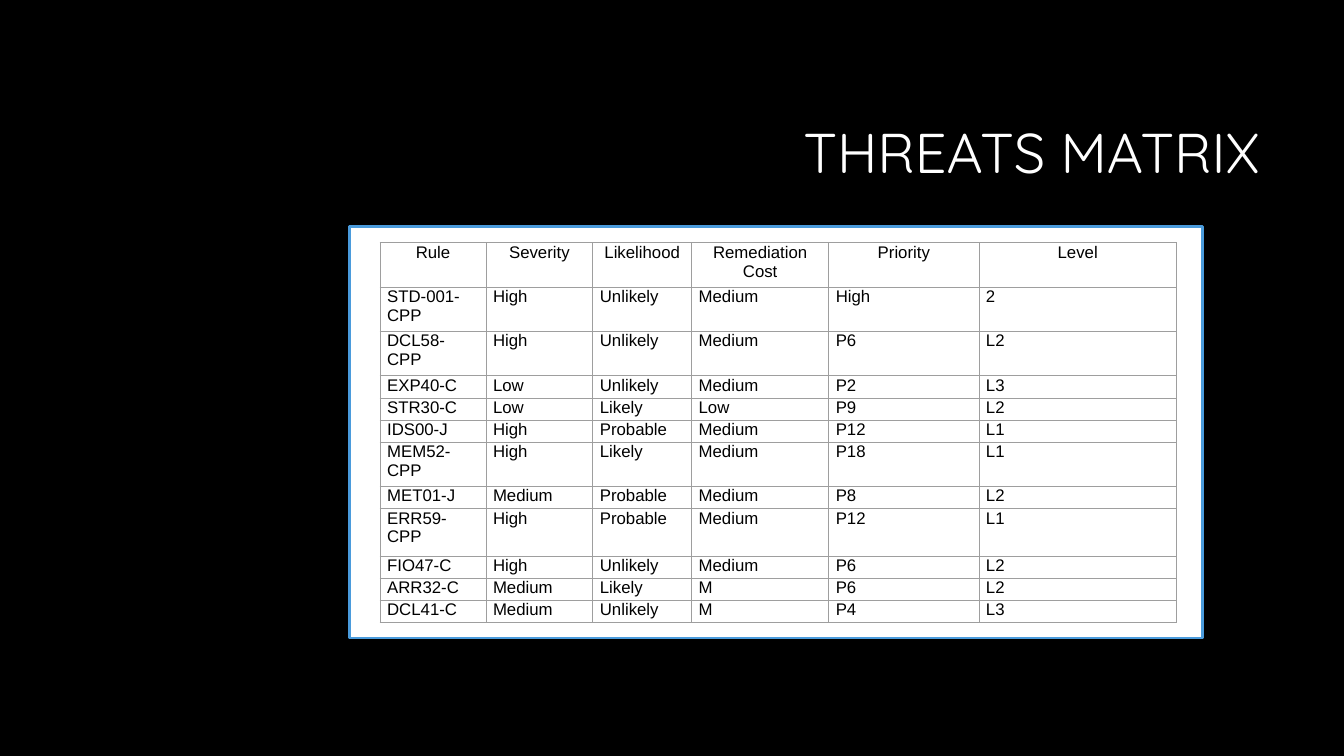
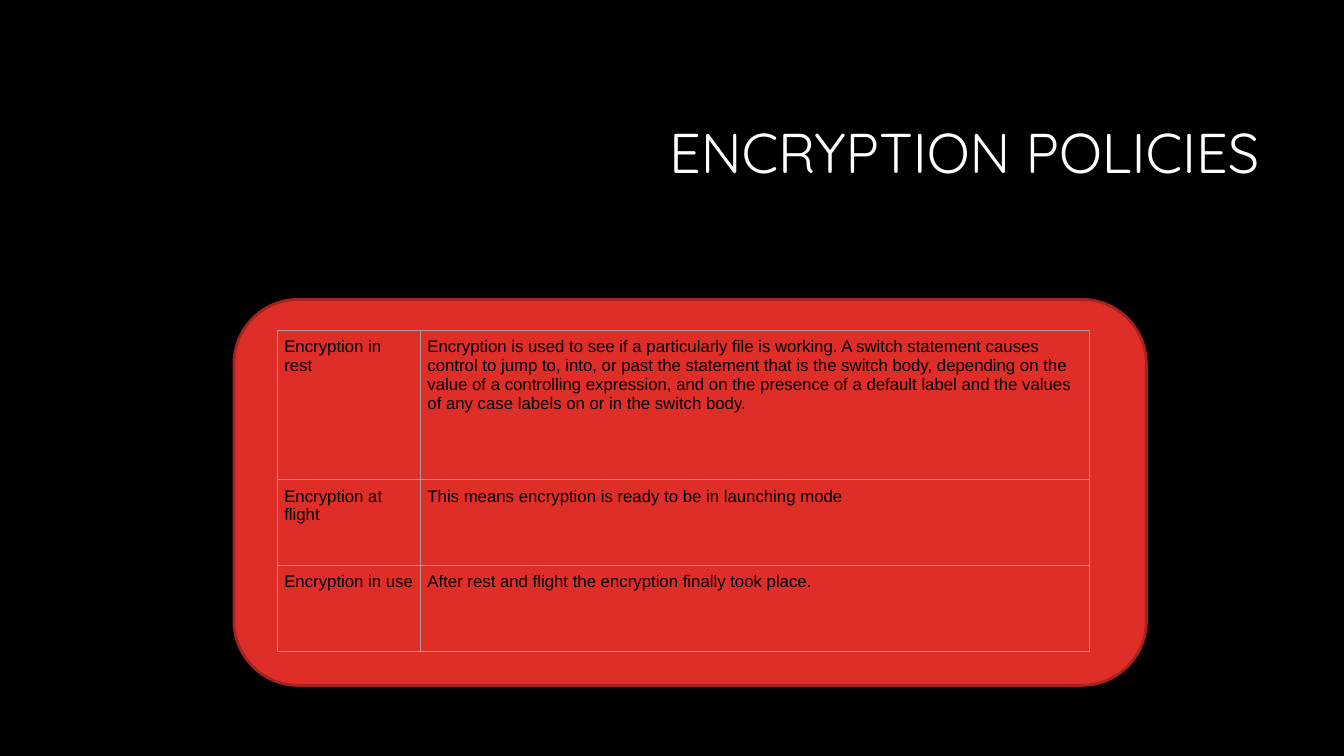
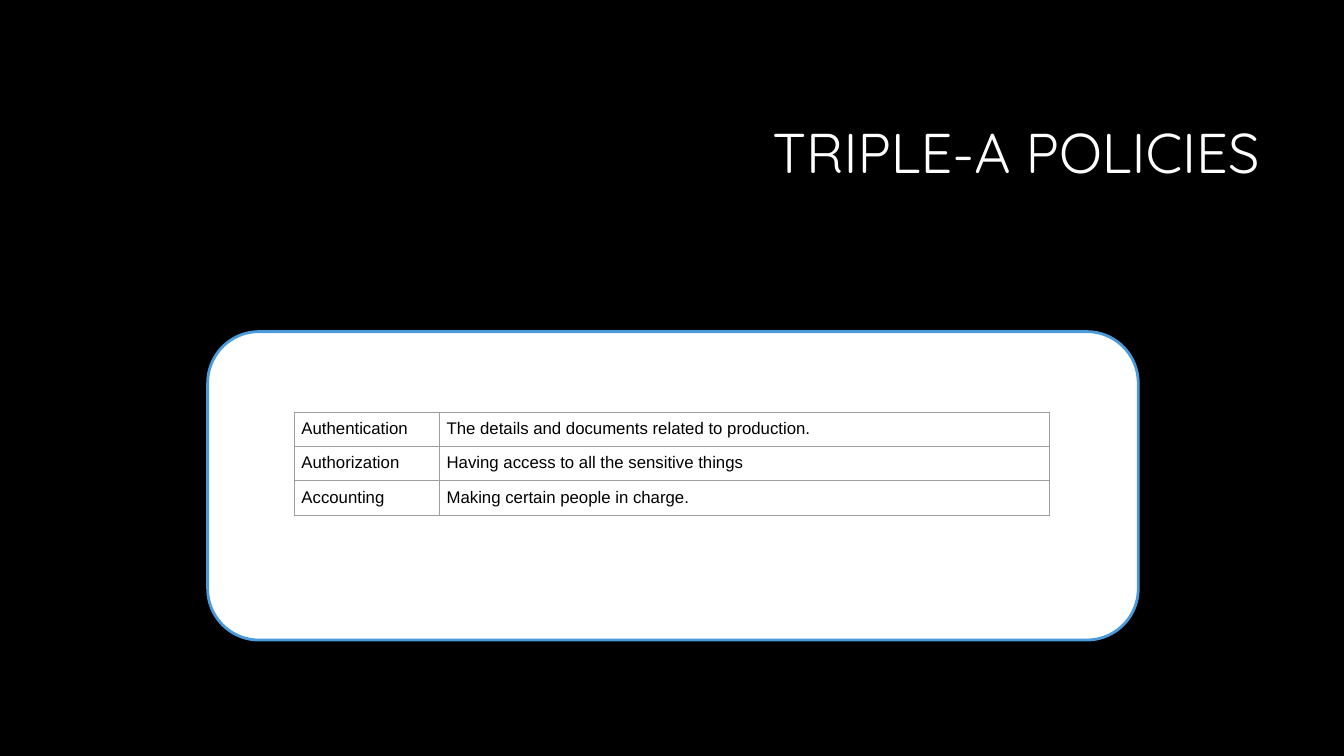
"""Build three dark policy slides, each a title and a table on a panel."""
from pptx import Presentation
from pptx.dml.color import RGBColor
from pptx.enum.shapes import MSO_SHAPE
from pptx.enum.text import MSO_ANCHOR, PP_ALIGN
from pptx.oxml import parse_xml
from pptx.oxml.ns import nsdecls
from pptx.util import Inches, Pt

BLACK, WHITE, BLUE, GRID = "000000", "FFFFFF", "4A9BDC", "9E9E9E"
RED, DARK = "DF2E28", "A5221E"
SIZE = (13.33, 7.5)
HEAD = (3.17, 0.84, 9.42, 1.41)
TITLE = {"name": "Quicksand", "size": Pt(40)}
BODY = {"name": "Arial", "size": Pt(12)}
PAD = 0.07
ONE, TWO = 0.22, 0.44

THREATS = [
    ("Rule", "Severity", "Likelihood", "Remediation Cost", "Priority", "Level"),
    ("STD-001-CPP", "High", "Unlikely", "Medium", "High", "2"),
    ("DCL58-CPP", "High", "Unlikely", "Medium", "P6", "L2"),
    ("EXP40-C", "Low", "Unlikely", "Medium", "P2", "L3"),
    ("STR30-C", "Low", "Likely", "Low", "P9", "L2"),
    ("IDS00-J", "High", "Probable", "Medium", "P12", "L1"),
    ("MEM52-CPP", "High", "Likely", "Medium", "P18", "L1"),
    ("MET01-J", "Medium", "Probable", "Medium", "P8", "L2"),
    ("ERR59-CPP", "High", "Probable", "Medium", "P12", "L1"),
    ("FIO47-C", "High", "Unlikely", "Medium", "P6", "L2"),
    ("ARR32-C", "Medium", "Likely", "M", "P6", "L2"),
    ("DCL41-C", "Medium", "Unlikely", "M", "P4", "L3"),
]
CRYPT = [
    ("Encryption in rest",
     "Encryption is used to see if a particularly file is working. "
     "A switch statement causes control to jump to, into, or past the "
     "statement that is the switch body, depending on the value of a "
     "controlling expression, and on the presence of a default label and "
     "the values of any case labels on or in the switch body."),
    ("Encryption at flight",
     "This means encryption is ready to be in launching mode"),
    ("Encryption in use",
     "After rest and flight the encryption finally took place."),
]
TRIPLE = [
    ("Authentication", "The details and documents related to production."),
    ("Authorization", "Having access to all the sensitive things"),
    ("Accounting", "Making certain people in charge."),
]
SLIDES = [
    {"title": "THREATS MATRIX", "form": MSO_SHAPE.RECTANGLE,
     "panel": (3.47, 2.25, 8.46, 4.08), "fill": WHITE, "line": BLUE,
     "spot": (3.77, 2.41), "cols": (1.05, 1.06, 0.98, 1.36, 1.49, 1.96),
     "rows": [TWO] * 3 + [ONE] * 3 + [TWO, ONE, 0.47] + [ONE] * 3,
     "pad": 0, "head": True, "data": THREATS},
    {"title": "ENCRYPTION POLICIES", "form": MSO_SHAPE.ROUNDED_RECTANGLE,
     "panel": (2.32, 2.97, 9.05, 3.83), "fill": RED, "line": DARK,
     "spot": (2.75, 3.28), "cols": (1.42, 6.64), "rows": (1.48, 0.85, 0.85),
     "pad": PAD, "head": False, "data": CRYPT},
    {"title": "TRIPLE-A POLICIES", "form": MSO_SHAPE.ROUNDED_RECTANGLE,
     "panel": (2.06, 3.29, 9.23, 3.06), "fill": WHITE, "line": BLUE,
     "spot": (2.92, 4.09), "cols": (1.44, 6.05), "rows": [0.33] * 3,
     "pad": PAD, "head": False, "data": TRIPLE},
]


def paint(part, tint):
    part.solid()
    part.fore_color.rgb = RGBColor.from_string(tint)


def apply(thing, style):
    for key, val in style.items():
        setattr(thing, key, val)


def write(frame, text, style, tint, align):
    par = frame.paragraphs[0]
    par.alignment = align
    run = par.add_run()
    run.text = text
    apply(run.font, style)
    run.font.color.rgb = RGBColor.from_string(tint)
    return par


def add_title(slide, text):
    box = slide.shapes.add_textbox(*map(Inches, HEAD))
    apply(box.text_frame,
          {"word_wrap": True, "vertical_anchor": MSO_ANCHOR.MIDDLE})
    par = write(box.text_frame, text, TITLE, WHITE, PP_ALIGN.RIGHT)
    par.line_spacing = 0.9


def add_panel(slide, item):
    panel = slide.shapes.add_shape(item["form"], *map(Inches, item["panel"]))
    panel.shadow.inherit = False
    paint(panel.fill, item["fill"])
    paint(panel.line.fill, item["line"])
    panel.line.width = Pt(2)


def add_grid(slide, item):
    cols, rows, data = item["cols"], item["rows"], item["data"]
    area = (*item["spot"], sum(cols), sum(rows))
    grid = slide.shapes.add_table(
        len(rows), len(cols), *map(Inches, area)).table
    apply(grid, {"first_row": item["head"], "horz_banding": False})
    for col, wide in zip(grid.columns, cols):
        col.width = Inches(wide)
    side, pad = Inches(PAD), Inches(item["pad"])
    edge = {"margin_left": side, "margin_right": side,
            "margin_top": pad, "margin_bottom": pad}
    for r, (row, tall) in enumerate(zip(grid.rows, rows)):
        row.height = Inches(tall)
        top = item["head"] and r == 0
        align = PP_ALIGN.CENTER if top else PP_ALIGN.LEFT
        for cell, text in zip(row.cells, data[r]):
            apply(cell, edge)
            rule(cell)
            cell.fill.background()
            par = write(cell.text_frame, text, BODY, BLACK, align)
            par.runs[0].font.bold = False


def rule(cell):
    props = cell._tc.get_or_add_tcPr()
    for side in "LRTB":
        props.append(parse_xml(
            f'<a:ln{side} {nsdecls("a")} w="{Pt(0.75)}"><a:solidFill>'
            f'<a:srgbClr val="{GRID}"/></a:solidFill></a:ln{side}>'))


def main():
    deck = Presentation()
    deck.slide_width, deck.slide_height = map(Inches, SIZE)
    paint(deck.slide_master.background.fill, BLACK)
    for item in SLIDES:
        slide = deck.slides.add_slide(deck.slide_layouts[6])
        add_panel(slide, item)
        add_title(slide, item["title"])
        add_grid(slide, item)
    deck.save("out.pptx")


if __name__ == "__main__":
    main()
